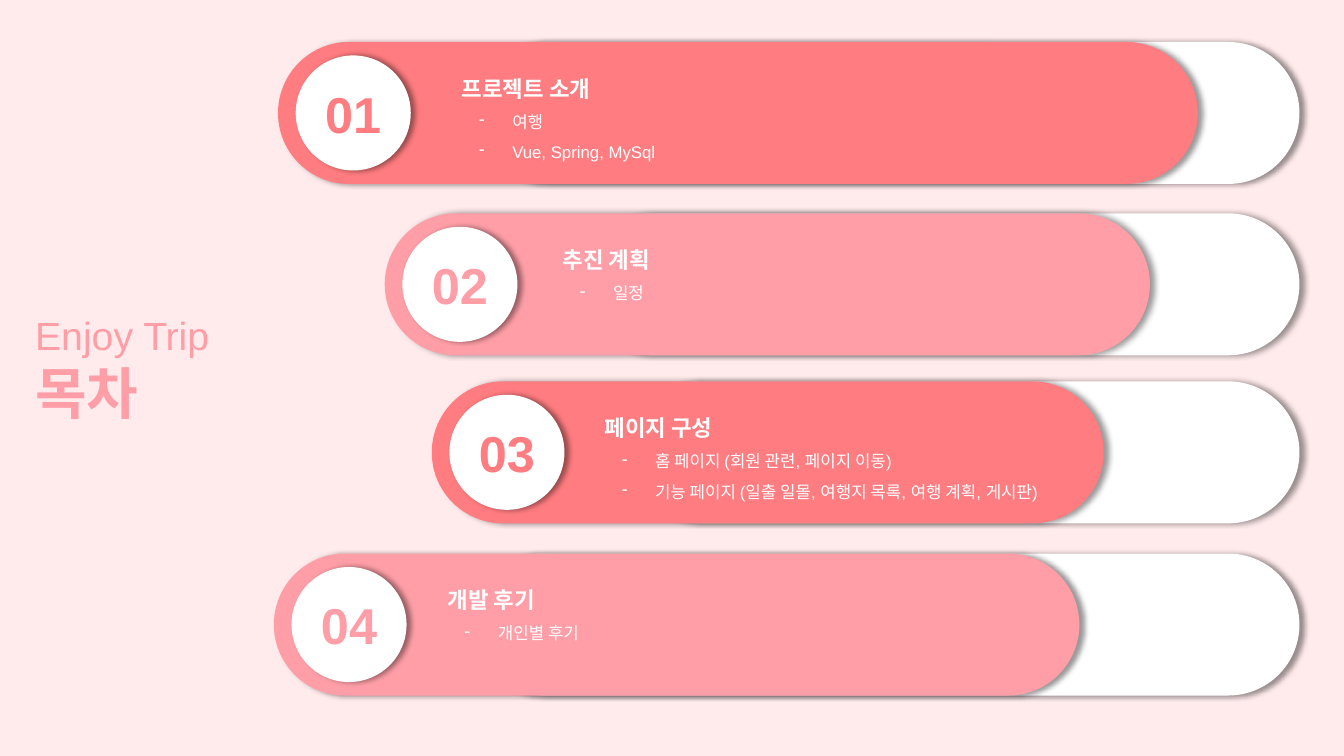
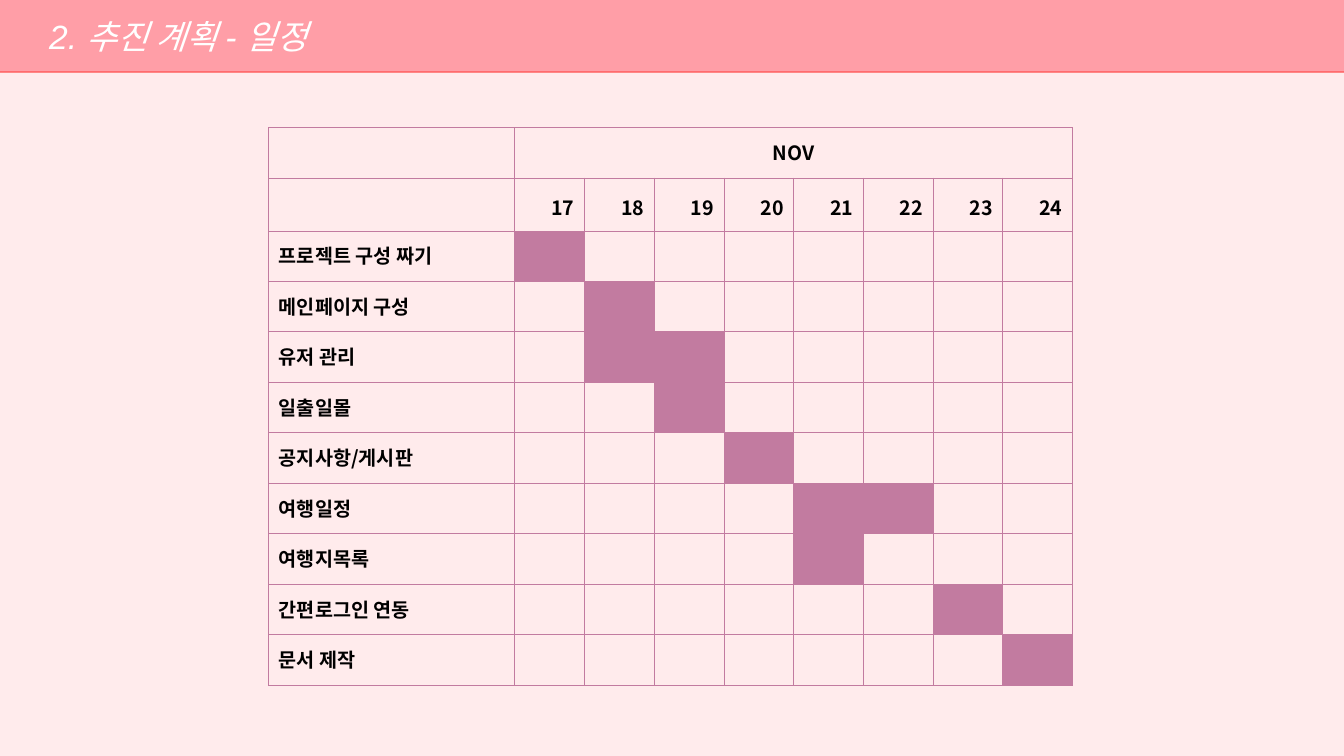
"""Builds the contents slide and the schedule slide of a travel project deck."""
from lxml import etree
from pptx import Presentation
from pptx.dml.color import RGBColor
from pptx.enum.shapes import MSO_SHAPE
from pptx.enum.text import MSO_ANCHOR, PP_ALIGN
from pptx.oxml.ns import qn
from pptx.util import Inches, Pt

PILL, CIRCLE, BAR = MSO_SHAPE.ROUNDED_RECTANGLE, MSO_SHAPE.OVAL, MSO_SHAPE.RECTANGLE
LEFT, CENTER, RIGHT, JUSTIFY = PP_ALIGN.LEFT, PP_ALIGN.CENTER, PP_ALIGN.RIGHT, PP_ALIGN.JUSTIFY
MIDDLE = MSO_ANCHOR.MIDDLE

BLUSH = RGBColor(0xFF, 0xEB, 0xEC)
PINK = RGBColor(0xFF, 0x9E, 0xA7)
CORAL = RGBColor(0xFF, 0x7C, 0x80)
RED = RGBColor(0xFF, 0x50, 0x50)
MAUVE = RGBColor(0xC2, 0x7B, 0xA0)
WHITE = RGBColor(0xFF, 0xFF, 0xFF)
BLACK = RGBColor(0, 0, 0)

BODY_FONT, TABLE_FONT = "Arial", "Noto Sans CJK KR"
COLUMNS, ROWS = 160, 90
SOFT_SHADOW = (BLACK, 40, 4, 3, 0)
EDGE_SHADOW = (RED, 100, 0, 1, 90)

PILL_HEIGHT, PILL_END = 16.9, 154.7
BADGE_SIZE = 13.7
SECTIONS = [
    (5, 33.1, 142.6, 53.8, CORAL, "프로젝트 소개", ["여행", "Vue, Spring, MySql"]),
    (25.4, 45.8, 136.9, 65.8, PINK, "추진 계획", ["일정"]),
    (45.4, 51.4, 131.4, 70.8, CORAL, "페이지 구성",
     ["홈 페이지 (회원 관련, 페이지 이동)",
      "기능 페이지 (일출 일몰, 여행지 목록, 여행 계획, 게시판)"]),
    (65.9, 32.6, 128.5, 52.1, PINK, "개발 후기", ["개인별 후기"]),
]
DAYS = range(17, 25)
TASKS = {
    "프로젝트 구성 짜기": [17],
    "메인페이지 구성": [18],
    "유저 관리": [18, 19],
    "일출일몰": [19],
    "공지사항/게시판": [20],
    "여행일정": [21, 22],
    "여행지목록": [21],
    "간편로그인 연동": [23],
    "문서 제작": [24],
}


class Deck:
    """Holds the shared style and the current slide, measured on a 160 by 90 grid."""

    def __init__(self):
        self.file = Presentation()
        self.file.slide_width, self.file.slide_height = Inches(13.33), Inches(7.5)
        self.slide = None

    def add_slide(self):
        self.slide = self.file.slides.add_slide(self.file.slide_layouts[6])
        self.slide.background.fill.solid()
        self.slide.background.fill.fore_color.rgb = BLUSH

    def x(self, columns):
        return round(self.file.slide_width * columns / COLUMNS)

    def y(self, rows):
        return round(self.file.slide_height * rows / ROWS)

    def box(self, left, top, width, height):
        return self.x(left), self.y(top), self.x(width), self.y(height)

    def paragraph(self, paragraph, text, size, color, font=BODY_FONT, align=LEFT,
                  bold=False, italic=False, spacing=None, bullet=False, margin=0):
        paragraph.text = text
        paragraph.alignment = align
        if spacing:
            paragraph.line_spacing = spacing
        properties = paragraph._p.get_or_add_pPr()
        if margin:
            properties.set("marL", str(Inches(margin)))
        if bullet:
            properties.set("indent", str(Inches(-0.33)))
            tint = etree.SubElement(properties, qn("a:buClr"))
            etree.SubElement(tint, qn("a:srgbClr"), val=str(color))
            etree.SubElement(properties, qn("a:buChar"), char="-")
        style = paragraph.font
        style.name, style.size, style.color.rgb = font, Pt(size), color
        style.bold, style.italic = bold, italic

    def shape(self, kind, box, color, shadow=SOFT_SHADOW):
        shape = self.slide.shapes.add_shape(kind, *self.box(*box))
        if kind == PILL:
            shape.adjustments[0] = 0.5
        shape.fill.solid()
        shape.fill.fore_color.rgb = color
        shape.line.fill.background()
        shape.shadow.inherit = False
        tint, opacity, blur, distance, angle = shadow
        effects = shape._element.spPr.find(qn("a:effectLst"))
        outer = etree.SubElement(
            effects, qn("a:outerShdw"), blurRad=str(Pt(blur)), dist=str(Pt(distance)),
            dir=str(angle * 60000), algn="l", rotWithShape="0")
        rgb = etree.SubElement(outer, qn("a:srgbClr"), val=str(tint))
        etree.SubElement(rgb, qn("a:alpha"), val=str(opacity * 1000))
        shape.text_frame.vertical_anchor = MIDDLE
        return shape

    def text(self, box, lines):
        frame = self.slide.shapes.add_textbox(*self.box(*box)).text_frame
        frame.word_wrap = True
        for index, (content, style) in enumerate(lines):
            line = frame.add_paragraph() if index else frame.paragraphs[0]
            self.paragraph(line, content, **style)

    def title_bar(self, title):
        bar = self.shape(BAR, (0, 0, COLUMNS, 8.5), PINK, EDGE_SHADOW)
        self.paragraph(bar.text_frame.paragraphs[0], title, 24, WHITE, italic=True, margin=0.39)

    def section(self, number, top, left, right, text_left, color, heading, items):
        lag = left + 23.3
        self.shape(PILL, (lag, top, PILL_END - lag, PILL_HEIGHT), WHITE)
        self.shape(PILL, (left, top, right - left, PILL_HEIGHT), color)
        badge = self.shape(CIRCLE, (left + 2.1, top + 1.6, BADGE_SIZE, BADGE_SIZE), WHITE)
        badge.text_frame.word_wrap = False
        self.paragraph(badge.text_frame.paragraphs[0], f"{number:02}", 36, color,
                       align=CENTER, bold=True)
        common = dict(color=WHITE, align=JUSTIFY, spacing=1.5)
        lines = [(heading, dict(common, size=16, bold=True))]
        lines += [(item, dict(common, size=12, bullet=True, margin=0.5)) for item in items]
        self.text((text_left, top + 1.7, 66, 13.1), lines)

    def cell(self, cell, text="", align=LEFT, spacing=None, filled=False):
        cell.margin_left = cell.margin_right = Inches(0.1)
        cell.margin_top = cell.margin_bottom = Inches(0.1)
        if filled:
            cell.fill.solid()
            cell.fill.fore_color.rgb = MAUVE
        else:
            cell.fill.background()
        properties = cell._tc.get_or_add_tcPr()
        for index, side in enumerate(("a:lnL", "a:lnR", "a:lnT", "a:lnB")):
            border = etree.Element(qn(side), w=str(Pt(0.75)))
            fill = etree.SubElement(border, qn("a:solidFill"))
            etree.SubElement(fill, qn("a:srgbClr"), val=str(MAUVE))
            properties.insert(index, border)
        if text:
            self.paragraph(cell.text_frame.paragraphs[0], text, 14, BLACK, TABLE_FONT,
                           align, bold=True, spacing=spacing)

    def schedule(self, left, top, month, days, tasks):
        widths = [29.3] + [8.3] * len(days)
        heights = [5.8, 6.3] + [5.8] * len(tasks)
        frame = self.slide.shapes.add_table(
            len(heights), len(widths), *self.box(left, top, sum(widths), sum(heights)))
        table = frame.table
        table.first_row = table.horz_banding = False
        for column, width in zip(table.columns, widths):
            column.width = self.x(width)
        for row, height in zip(table.rows, heights):
            row.height = self.y(height)
        table.cell(0, 1).merge(table.cell(0, len(days)))
        for column in range(len(widths)):
            self.cell(table.cell(0, column), month if column == 1 else "", CENTER)
        self.cell(table.cell(1, 0))
        for column, day in enumerate(days, 1):
            self.cell(table.cell(1, column), str(day), RIGHT, 1.15)
        for row, (task, busy_days) in enumerate(tasks.items(), 2):
            self.cell(table.cell(row, 0), task)
            for column, day in enumerate(days, 1):
                self.cell(table.cell(row, column), filled=day in busy_days)


def main():
    deck = Deck()
    deck.add_slide()
    for number, section in enumerate(SECTIONS, 1):
        deck.section(number, *section)
    deck.text((3, 36.5, 38.8, 15), [
        ("Enjoy Trip", dict(size=28, color=PINK)),
        ("목차", dict(size=40, color=PINK, bold=True)),
    ])
    deck.add_slide()
    deck.title_bar("2. 추진 계획 - 일정")
    deck.schedule(32, 15.2, "NOV", DAYS, TASKS)
    deck.file.save("out.pptx")


if __name__ == "__main__":
    main()
